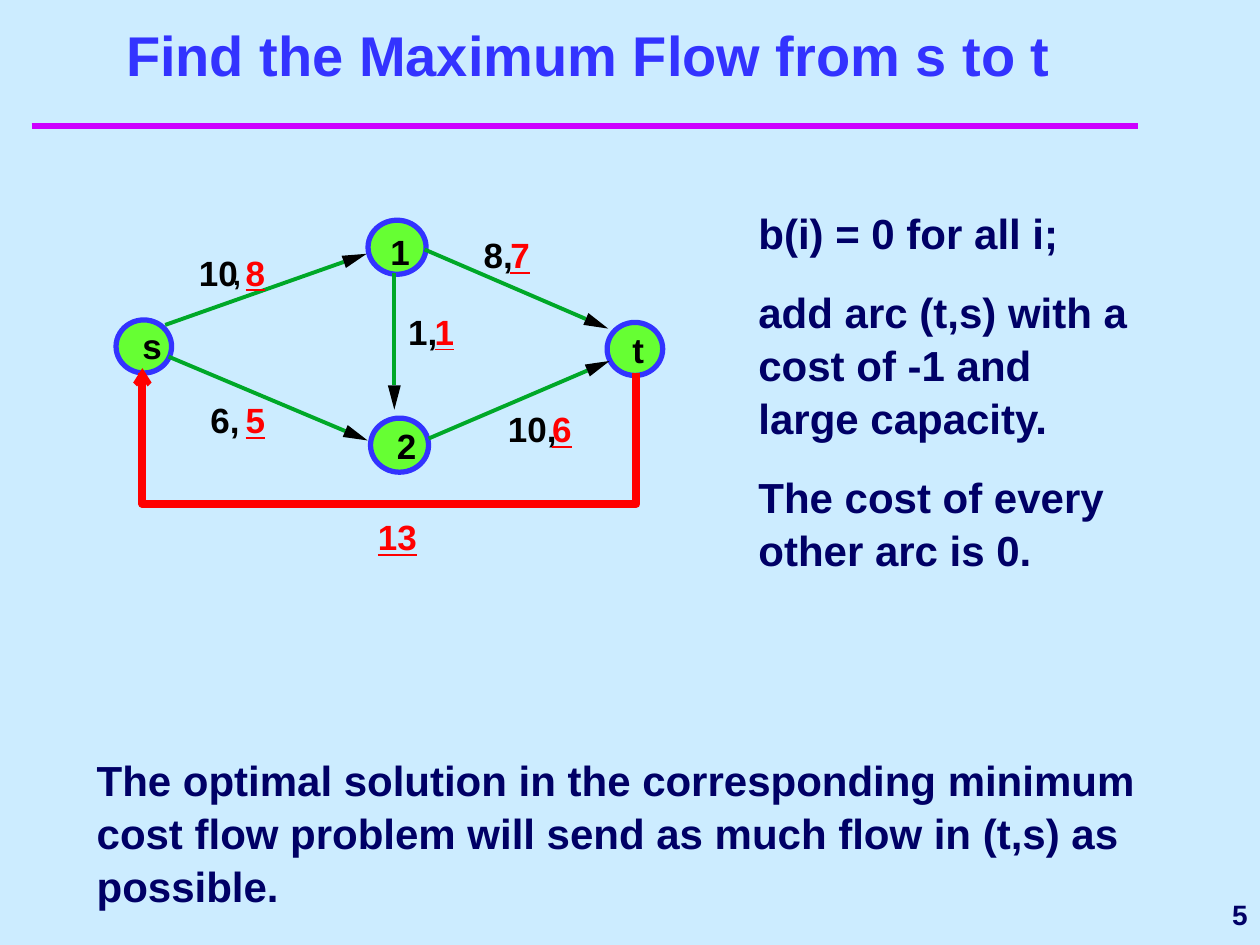
from math import hypot

from lxml.etree import SubElement
from pptx import Presentation
from pptx.dml.color import RGBColor
from pptx.enum.shapes import MSO_CONNECTOR, MSO_SHAPE
from pptx.enum.text import MSO_ANCHOR, MSO_AUTO_SIZE, PP_ALIGN
from pptx.oxml.ns import qn
from pptx.util import Cm, Pt

COLORS = {
    name: RGBColor.from_string(value)
    for name, value in {
        "background": "CCECFF", "title": "3333FF", "rule": "CC00FF",
        "body": "000066", "node": "66FF33", "outline": "3333FF",
        "arc": "00A828", "black": "000000", "red": "FF0000",
    }.items()
}

presentation = Presentation()
presentation.slide_width, presentation.slide_height = Cm(25.4), Cm(19.05)
slide = presentation.slides.add_slide(presentation.slide_layouts[5])
slide.background.fill.solid()
slide.background.fill.fore_color.rgb = COLORS["background"]
shapes = slide.shapes


def write(shape, lines, size, color, margins=(0.25, 0.13), wrap=True, underline=None):
    """Fill a shape with bold Arial paragraphs."""
    frame = shape.text_frame
    frame.text = "\n".join(lines)
    frame.word_wrap = wrap
    frame.auto_size = MSO_AUTO_SIZE.NONE
    frame.margin_left = frame.margin_right = Cm(margins[0])
    frame.margin_top = frame.margin_bottom = Cm(margins[1])
    for index, paragraph in enumerate(frame.paragraphs):
        paragraph.line_spacing = 1.05
        paragraph.space_before = Pt(15 if index else 0)
        font = paragraph.runs[0].font
        font.name, font.size, font.bold = "Arial", Pt(size), True
        font.underline = underline
        font.color.rgb = COLORS[color]
    return frame


def add_line(start, end, color, width):
    line = shapes.add_connector(
        MSO_CONNECTOR.STRAIGHT, *(Cm(value) for value in (*start, *end)))
    line.line.color.rgb = COLORS[color]
    line.line.width = Pt(width)
    SubElement(line._element.spPr, qn("a:effectLst"))
    return line


# Title, rule and slide number
title = shapes.title
title.left, title.top, title.width, title.height = Cm(1.07), Cm(0.43), Cm(21.59), Cm(1.47)
title_frame = write(title, ["Find the Maximum Flow from s to t"], 32, "title")
title_frame.vertical_anchor = MSO_ANCHOR.BOTTOM
title_frame.paragraphs[0].alignment = PP_ALIGN.CENTER
add_line((0.64, 2.54), (22.94, 2.54), "rule", 4)

number_box = shapes.add_textbox(Cm(20.52), Cm(17.78), Cm(4.88), Cm(1.27))
number_frame = write(number_box, ["5"], 16, "body")
number_frame.vertical_anchor = MSO_ANCHOR.MIDDLE
number_frame.paragraphs[0].alignment = PP_ALIGN.RIGHT

# Network nodes: left, top, width, height
nodes = [
    (2.34, 6.45, 1.12, 1.07),
    (7.42, 4.44, 1.17, 1.09),
    (7.47, 8.43, 1.17, 1.09),
    (12.24, 6.5, 1.12, 1.07),
]
for bounds in nodes:
    node = shapes.add_shape(MSO_SHAPE.OVAL, *(Cm(value) for value in bounds))
    node.shadow.inherit = False
    node.fill.solid()
    node.fill.fore_color.rgb = COLORS["node"]
    node.line.color.rgb = COLORS["outline"]
    node.line.width = Pt(3)

# Arcs, each ending at the base of a black arrowhead
arcs = [
    ((3.33, 6.55), (6.93, 5.28)),
    ((3.4, 7.19), (6.96, 8.69)),
    ((8.56, 5.03), (11.81, 6.43)),
    ((8.64, 8.84), (11.84, 7.47)),
    ((7.95, 5.51), (7.95, 7.77)),
]
head_length, head_half_width = 0.49, 0.13
for start, end in arcs:
    add_line(start, end, "arc", 2.25)
    x, y = end
    length = hypot(x - start[0], y - start[1])
    along_x, along_y = (x - start[0]) / length, (y - start[1]) / length
    side_x, side_y = -along_y * head_half_width, along_x * head_half_width
    builder = shapes.build_freeform(
        Cm(x + along_x * head_length), Cm(y + along_y * head_length))
    builder.add_line_segments([
        (Cm(x + side_x), Cm(y + side_y)),
        (Cm(x - side_x), Cm(y - side_y)),
    ])
    head = builder.convert_to_shape()
    head.shadow.inherit = False
    head.fill.solid()
    head.fill.fore_color.rgb = COLORS["black"]
    head.line.fill.background()

# Return arc from t to s
builder = shapes.build_freeform(Cm(12.83), Cm(7.52))
builder.add_line_segments(
    [(Cm(12.83), Cm(10.16)), (Cm(2.87), Cm(10.16)), (Cm(2.87), Cm(7.52))], close=False)
return_arc = builder.convert_to_shape()
return_arc.shadow.inherit = False
return_arc.fill.background()
return_arc.line.color.rgb = COLORS["red"]
return_arc.line.width = Pt(4.5)
return_head = add_line((2.87, 8.46), (2.87, 7.42), "red", 3)
SubElement(return_head.line._get_or_add_ln(), qn("a:tailEnd"), type="arrow")

# Node names, capacities (black) and flows (red, underlined)
labels = [
    ("s", 2.87, 6.5, 20, "black"),
    ("1", 7.87, 4.6, 20, "black"),
    ("2", 8.0, 8.51, 20, "black"),
    ("t", 12.75, 6.58, 20, "black"),
    ("10", 4.01, 5.03, 20, "black"),
    (",", 4.7, 5.16, 16, "black"),
    ("8", 4.95, 5.03, 20, "red"),
    ("8,", 9.75, 4.67, 20, "black"),
    ("7", 10.29, 4.67, 20, "red"),
    ("1,", 8.23, 6.22, 20, "black"),
    ("1", 8.76, 6.22, 20, "red"),
    ("10,", 10.24, 8.18, 20, "black"),
    ("6", 11.13, 8.18, 20, "red"),
    ("6,", 4.24, 8.0, 20, "black"),
    ("5", 4.95, 8.0, 20, "red"),
    ("13", 7.62, 10.36, 20, "red"),
]
narrow_widths = {",": 0.2, "t": 0.24}
for text, left, top, size, color in labels:
    width = sum(narrow_widths.get(letter, 0.39) for letter in text)
    label = shapes.add_textbox(Cm(left), Cm(top), Cm(width), Cm(0.84))
    write(label, [text], size, color, margins=(0, 0), wrap=False,
          underline=color == "red")

# Explanations
conditions = [
    "b(i) = 0 for all i;",
    "add arc (t,s) with a cost of -1 and large capacity.",
    "The cost of every other arc is 0.",
]
conclusion = [
    "The optimal solution in the corresponding minimum cost flow problem "
    "will send as much flow in (t,s) as possible.",
]
for lines, bounds in [
    (conditions, (15.04, 4.01, 8.26, 7.42)),
    (conclusion, (1.7, 15.04, 22.02, 3.3)),
]:
    box = shapes.add_textbox(*(Cm(value) for value in bounds))
    write(box, lines, 24, "body")

presentation.save("out.pptx")
